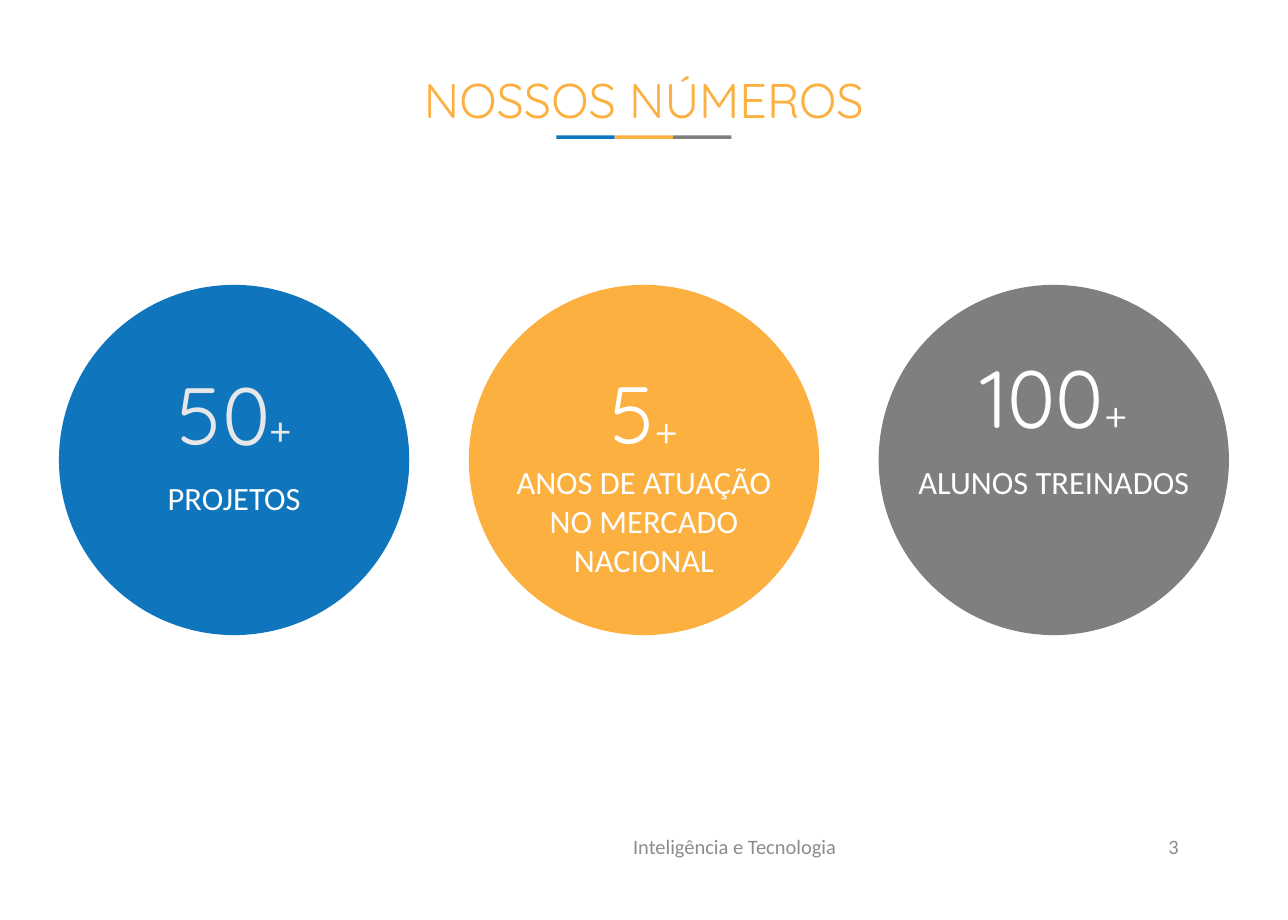
from dataclasses import dataclass

from pptx import Presentation
from pptx.dml.color import RGBColor
from pptx.enum.shapes import MSO_SHAPE
from pptx.enum.text import MSO_ANCHOR, PP_ALIGN
from pptx.slide import Slide
from pptx.util import Inches, Pt

OVAL, RECTANGLE = MSO_SHAPE.OVAL, MSO_SHAPE.RECTANGLE
TOP, MIDDLE = MSO_ANCHOR.TOP, MSO_ANCHOR.MIDDLE
CENTER = PP_ALIGN.CENTER

COLORS = {
    "blue": "0F75BC",
    "orange": "FCB040",
    "gray": "7F7F7F",
    "white": "FFFFFF",
    "light": "E6E7E8",
    "footer": "8C8C8C",
}
HEADING_FONT, BODY_FONT = "Quicksand", "Calibri"
SLIDE_WIDTH, SLIDE_HEIGHT = 11.03, 7.88
CIRCLE_SIZE, CIRCLE_TOP, CIRCLE_PITCH = 3.0, 2.44, 3.51
BAR_WIDTH, BAR_HEIGHT, BAR_TOP = 0.5, 0.03, 1.16


@dataclass(frozen=True)
class Run:
    text: str
    size: float
    font: str
    color: str


@dataclass(frozen=True)
class TextBlock:
    runs: tuple[Run, ...]
    top: float
    height: float
    anchor: MSO_ANCHOR = TOP
    line_spacing: float = 1.0


@dataclass(frozen=True)
class Metric:
    color: str
    text_width: float
    figure: TextBlock
    label: TextBlock


def figure_runs(number: str, color: str = "white", plus_font: str = HEADING_FONT) -> tuple[Run, ...]:
    return Run(number, 50, HEADING_FONT, color), Run("+", 25, plus_font, color)


def label_runs(text: str) -> tuple[Run, ...]:
    return (Run(text, 20, BODY_FONT, "white"),)


METRICS = (
    Metric("blue", 1.84,
           TextBlock(figure_runs("50", "light", BODY_FONT), 2.98, 0.95, line_spacing=1.17),
           TextBlock(label_runs("PROJETOS"), 4.0, 0.48, MIDDLE, 1.11)),
    Metric("orange", 2.4,
           TextBlock(figure_runs("5"), 3.02, 0.89, MIDDLE, 1.15),
           TextBlock(label_runs("ANOS DE ATUAÇÃO NO MERCADO NACIONAL"), 3.96, 1.16)),
    Metric("gray", 2.52,
           TextBlock(figure_runs("100"), 2.98, 0.92),
           TextBlock(label_runs("ALUNOS TREINADOS"), 3.96, 1.46)),
)
TITLE = TextBlock((Run("NOSSOS NÚMEROS", 30, HEADING_FONT, "orange"),), 0.55, 0.6, MIDDLE)


def footer_block(text: str) -> TextBlock:
    return TextBlock((Run(text, 12.6, BODY_FONT, "footer"),), 7.04, 0.42, MIDDLE)


def add_text(slide: Slide, block: TextBlock, center: float, width: float) -> None:
    """Add a one-paragraph text box centred on the given x position."""
    box = slide.shapes.add_textbox(
        Inches(center - width / 2), Inches(block.top), Inches(width), Inches(block.height))
    frame = box.text_frame
    frame.word_wrap = True
    frame.vertical_anchor = block.anchor
    frame.margin_left = frame.margin_right = frame.margin_top = frame.margin_bottom = 0
    paragraph = frame.paragraphs[0]
    paragraph.alignment = CENTER
    paragraph.line_spacing = block.line_spacing
    for item in block.runs:
        run = paragraph.add_run()
        run.text = item.text
        font = paragraph.font if len(block.runs) == 1 else run.font
        font.size = Pt(item.size)
        font.name = item.font
        font.color.rgb = RGBColor.from_string(COLORS[item.color])


def add_filled_shape(slide: Slide, kind: MSO_SHAPE, center: float, top: float,
                     width: float, height: float, color: str) -> None:
    shape = slide.shapes.add_shape(
        kind, Inches(center - width / 2), Inches(top), Inches(width), Inches(height))
    shape.shadow.inherit = False
    shape.fill.solid()
    shape.fill.fore_color.rgb = RGBColor.from_string(COLORS[color])
    shape.line.fill.background()


def main() -> None:
    presentation = Presentation()
    presentation.slide_width = Inches(SLIDE_WIDTH)
    presentation.slide_height = Inches(SLIDE_HEIGHT)
    slide = presentation.slides.add_slide(presentation.slide_layouts[6])
    middle = SLIDE_WIDTH / 2

    add_text(slide, TITLE, middle, 9.51)
    add_text(slide, footer_block("Inteligência e Tecnologia"), 6.29, 3.72)
    add_text(slide, footer_block("3"), 10.05, 0.44)

    for position, metric in enumerate(METRICS, start=-1):
        center = middle + position * CIRCLE_PITCH
        add_filled_shape(slide, OVAL, center, CIRCLE_TOP, CIRCLE_SIZE, CIRCLE_SIZE, metric.color)
        add_text(slide, metric.figure, center, metric.text_width)
        add_text(slide, metric.label, center, metric.text_width)
        add_filled_shape(slide, RECTANGLE, middle + position * BAR_WIDTH, BAR_TOP,
                         BAR_WIDTH, BAR_HEIGHT, metric.color)

    presentation.save("out.pptx")


if __name__ == "__main__":
    main()
